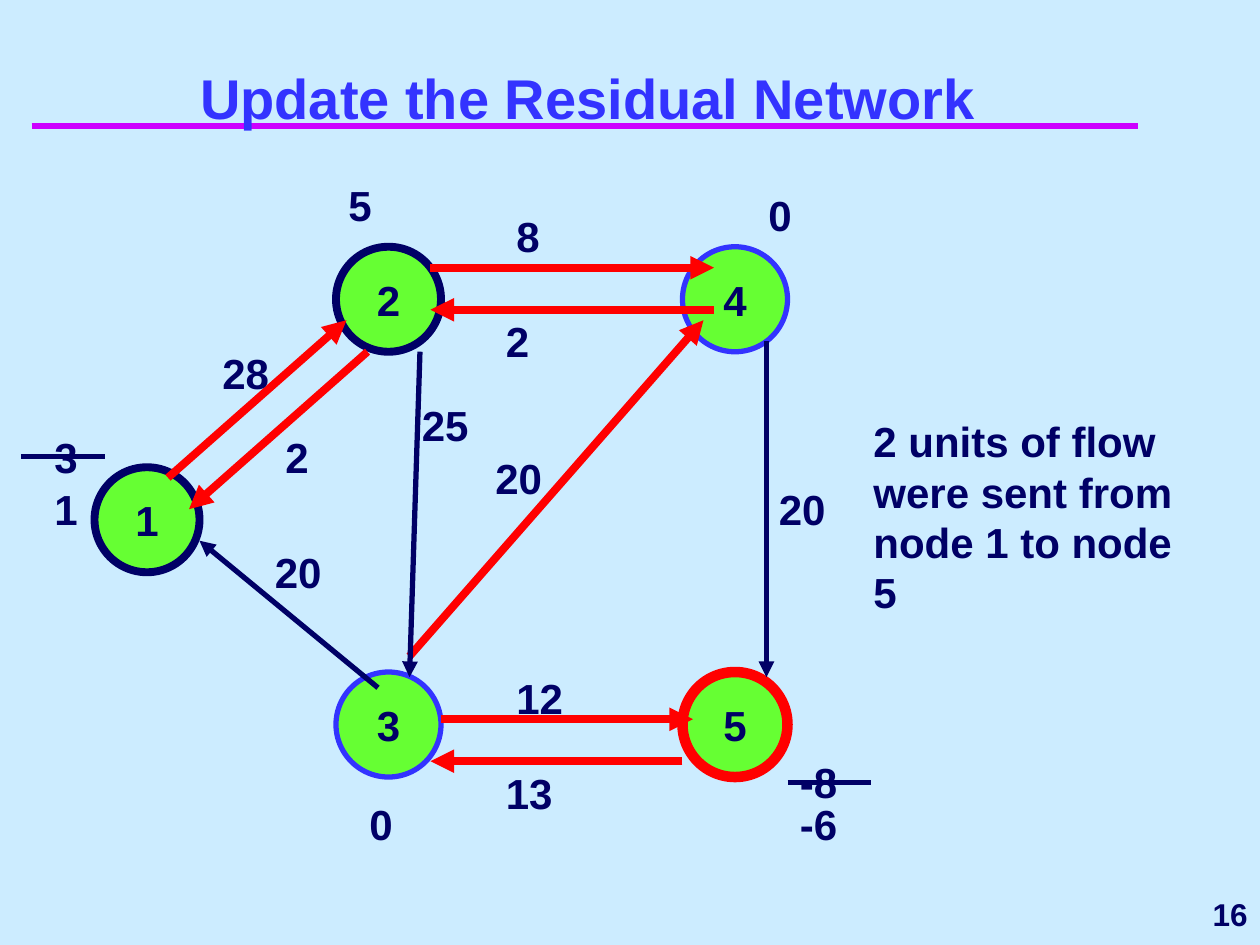
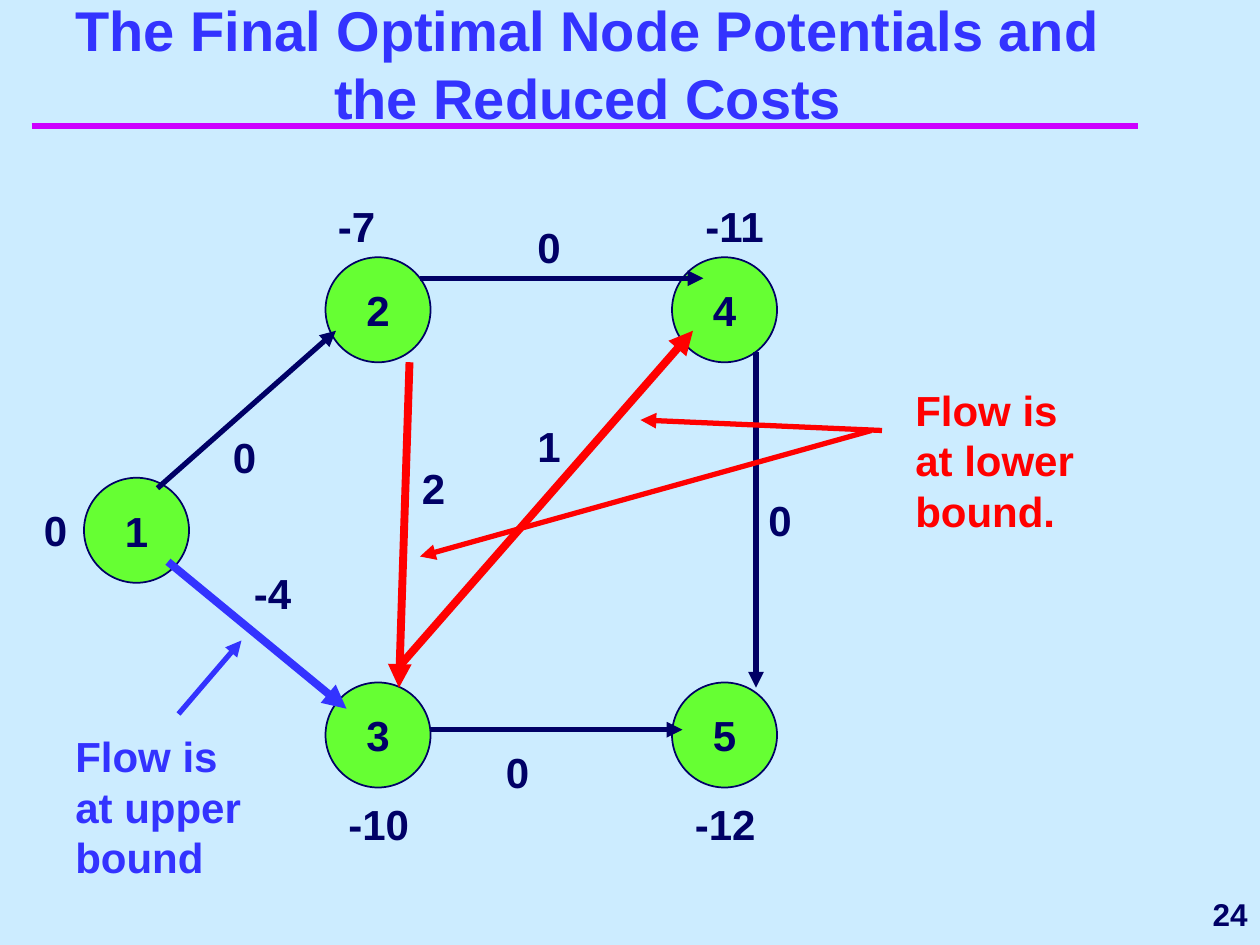
from dataclasses import dataclass
from typing import NamedTuple

from lxml import etree
from pptx import Presentation
from pptx import util as u
from pptx.dml.color import RGBColor
from pptx.enum import shapes, text
from pptx.oxml.ns import qn

PX = 9525
FONT = "Arial"
SKY, NAVY, BLUE, RED = "CCECFF", "000066", "3333FF", "FF0000"
GREEN, MAGENTA = "66FF33", "CC00FF"
NODE_SIZE = 80
LABEL_HEIGHT = 48
THIN, THICK = 3, 4.5


class Point(NamedTuple):
    x: int
    y: int


class Box(NamedTuple):
    left: int
    top: int
    width: int
    height: int = LABEL_HEIGHT


class Outline(NamedTuple):
    color: str = NAVY
    width: float = 1


class Label(NamedTuple):
    wording: str
    box: Box
    color: str = NAVY


class Line(NamedTuple):
    start: Point
    end: Point
    color: str = NAVY
    width: float = THIN
    arrow: bool = True


class Edge(NamedTuple):
    route: str
    color: str = NAVY
    width: float = THIN


@dataclass
class NetworkSlide:
    title: str
    number: int
    shift: Point
    outlines: dict[str, Outline]
    edges: list[Edge]
    labels: list[Label]
    lines: list[Line]


NODES = {
    "1": Point(64, 364),
    "2": Point(248, 196),
    "3": Point(248, 520),
    "5": Point(512, 520),
    "4": Point(512, 196),
}
ROUTES = {
    "1-2": (Point(120, 372), Point(256, 252)),
    "2-1": (Point(272, 276), Point(136, 396)),
    "2-4": (Point(320, 212), Point(536, 212)),
    "4-2": (Point(536, 244), Point(320, 244)),
    "4-5": (Point(576, 268), Point(576, 524)),
    "3-4": (Point(304, 508), Point(528, 252)),
    "1-3": (Point(128, 428), Point(264, 540)),
    "3-1": (Point(280, 532), Point(144, 420)),
    "3-5": (Point(328, 556), Point(520, 556)),
    "5-3": (Point(512, 588), Point(320, 588)),
    "2-3": (Point(312, 276), Point(304, 524)),
}

RESIDUAL = NetworkSlide(
    title="Update the Residual Network",
    number=16,
    shift=Point(8, -8),
    outlines={
        "1": Outline(NAVY, 4.5),
        "2": Outline(NAVY, 4.5),
        "3": Outline(BLUE, 3),
        "4": Outline(BLUE, 3),
        "5": Outline(RED, 6),
    },
    edges=[
        Edge("1-2", RED, THICK),
        Edge("2-4", RED, THICK),
        Edge("4-5"),
        Edge("3-4", RED, THICK),
        Edge("3-5", RED, THICK),
        Edge("2-3"),
        Edge("3-1"),
        Edge("5-3", RED, THICK),
        Edge("2-1", RED, THICK),
        Edge("4-2", RED, THICK),
    ],
    labels=[
        Label("8", Box(384, 156, 112)),
        Label("20", Box(584, 364, 112)),
        Label("20", Box(368, 340, 112)),
        Label("12", Box(384, 508, 112)),
        Label("25", Box(312, 300, 112)),
        Label("28", Box(160, 260, 112)),
        Label("5", Box(256, 132, 72)),
        Label("20", Box(200, 412, 64)),
        Label("0", Box(272, 604, 72)),
        Label("0", Box(576, 140, 72)),
        Label("13", Box(376, 580, 112)),
        Label("1", Box(32, 364, 72)),
        Label("-8", Box(600, 572, 72)),
        Label("2", Box(208, 324, 112)),
        Label("2", Box(376, 236, 112)),
        Label("3", Box(32, 324, 72)),
        Label("-6", Box(600, 604, 72)),
        Label("2 units of flow were sent from node 1 to node 5",
              Box(656, 312, 264, 163)),
    ],
    lines=[
        Line(Point(16, 348), Point(80, 348), arrow=False),
        Line(Point(600, 596), Point(664, 596), arrow=False),
    ],
)

OPTIMAL = NetworkSlide(
    title="The Final Optimal Node Potentials and the Reduced Costs",
    number=24,
    shift=Point(0, 0),
    outlines={name: Outline() for name in NODES},
    edges=[
        Edge("1-2"),
        Edge("2-4"),
        Edge("4-5"),
        Edge("3-4", RED, THICK),
        Edge("1-3", BLUE, THICK),
        Edge("3-5"),
        Edge("2-3", RED, THICK),
    ],
    labels=[
        Label("0", Box(576, 372, 40)),
        Label("0", Box(24, 380, 64)),
        Label("-7", Box(248, 148, 64)),
        Label("-11", Box(528, 148, 104)),
        Label("-12", Box(520, 604, 104)),
        Label("-10", Box(256, 604, 104)),
        Label("0", Box(168, 324, 112)),
        Label("-4", Box(184, 428, 112)),
        Label("0", Box(376, 564, 112)),
        Label("1", Box(400, 316, 112)),
        Label("2", Box(312, 348, 112)),
        Label("0", Box(400, 164, 112)),
        Label("Flow is at upper bound", Box(48, 552, 152, 125), BLUE),
        Label("Flow is at lower bound.", Box(688, 288, 152, 125), RED),
    ],
    lines=[
        Line(Point(136, 544), Point(184, 488), BLUE),
        Line(Point(664, 328), Point(320, 424), RED),
        Line(Point(672, 328), Point(488, 320), RED),
    ],
)


def rgb(color: str) -> RGBColor:
    return RGBColor.from_string(color)


def emu(values) -> list[int]:
    return [value * PX for value in values]


def moved(point: Point, shift: Point) -> Point:
    return Point(point.x + shift.x, point.y + shift.y)


def write(shape, wording: str, color: str = NAVY, size: int = 24,
          align=text.PP_ALIGN.LEFT, anchor=text.MSO_ANCHOR.TOP,
          wrap: bool = True) -> None:
    frame = shape.text_frame
    frame.text = wording
    frame.word_wrap = wrap
    frame.vertical_anchor = anchor
    paragraph = frame.paragraphs[0]
    paragraph.alignment = align
    for run in paragraph.runs:
        run.font.name = FONT
        run.font.size = u.Pt(size)
        run.font.bold = True
        run.font.color.rgb = rgb(color)


def add_text(slide, label: Label, **style) -> None:
    shape = slide.shapes.add_textbox(*emu(label.box))
    write(shape, label.wording, label.color, **style)


def add_line(slide, line: Line) -> None:
    connector = slide.shapes.add_connector(
        shapes.MSO_CONNECTOR.STRAIGHT, *emu(line.start + line.end))
    connector.line.color.rgb = rgb(line.color)
    connector.line.width = u.Pt(line.width)
    if line.arrow:
        etree.SubElement(connector.line._get_or_add_ln(), qn("a:tailEnd"),
                         type="triangle")
    etree.SubElement(connector._element.spPr, qn("a:effectLst"))


def add_node(slide, name: str, corner: Point, outline: Outline) -> None:
    shape = slide.shapes.add_shape(
        shapes.MSO_SHAPE.OVAL, *emu(Box(*corner, NODE_SIZE, NODE_SIZE)))
    shape.shadow.inherit = False
    shape.fill.solid()
    shape.fill.fore_color.rgb = rgb(GREEN)
    shape.line.color.rgb = rgb(outline.color)
    shape.line.width = u.Pt(outline.width)
    write(shape, name, align=text.PP_ALIGN.CENTER,
          anchor=text.MSO_ANCHOR.MIDDLE, wrap=False)


def add_frame(slide, title: str, number: int) -> None:
    add_line(slide, Line(Point(24, 96), Point(867, 96), MAGENTA, 4, False))
    add_text(slide, Label(str(number), Box(776, 672, 184)), size=18,
             align=text.PP_ALIGN.RIGHT, anchor=text.MSO_ANCHOR.MIDDLE)
    add_text(slide, Label(title, Box(40, 64, 816, 40), BLUE), size=32,
             align=text.PP_ALIGN.CENTER, anchor=text.MSO_ANCHOR.BOTTOM)


def add_network(presentation, network: NetworkSlide) -> None:
    slide = presentation.slides.add_slide(presentation.slide_layouts[6])
    slide.background.fill.solid()
    slide.background.fill.fore_color.rgb = rgb(SKY)
    add_frame(slide, network.title, network.number)
    for name, corner in NODES.items():
        add_node(slide, name, moved(corner, network.shift),
                 network.outlines[name])
    for edge in network.edges:
        start, end = (moved(point, network.shift)
                      for point in ROUTES[edge.route])
        add_line(slide, Line(start, end, edge.color, edge.width))
    for label in network.labels:
        add_text(slide, label)
    for line in network.lines:
        add_line(slide, line)


def main() -> None:
    presentation = Presentation()
    presentation.slide_width, presentation.slide_height = emu((960, 720))
    for network in (RESIDUAL, OPTIMAL):
        add_network(presentation, network)
    presentation.save("out.pptx")


if __name__ == "__main__":
    main()
